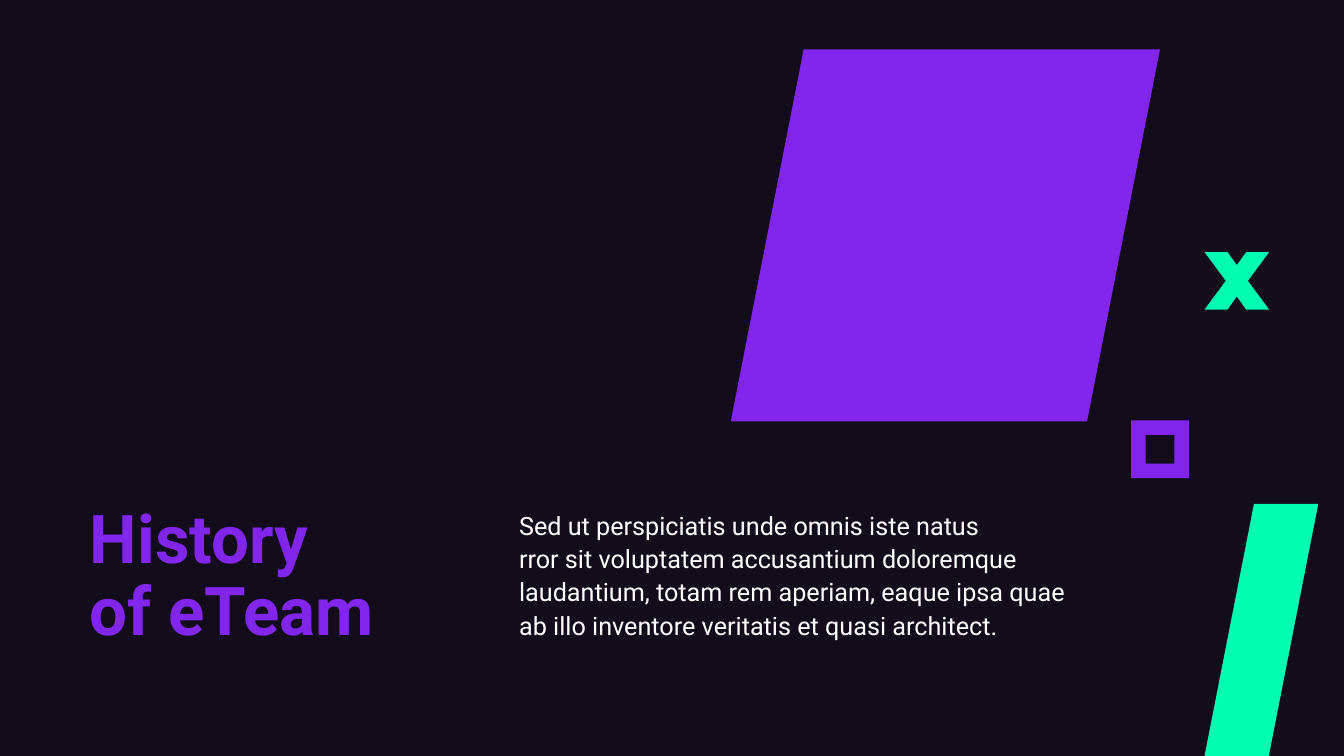
from pptx import Presentation
from pptx import util as u
from pptx.dml import color
from pptx.enum import shapes, text

NIGHT, VIOLET, MINT, WHITE = "130D1B", "8226EE", "01FDB0", "FFFFFF"


def paint(fill, hex_color):
    """Give a fill one solid colour."""
    fill.solid()
    fill.fore_color.rgb = color.RGBColor.from_string(hex_color)


def finish(shape, hex_color):
    """Fill a shape and remove its outline and shadow."""
    paint(shape.fill, hex_color)
    shape.line.fill.background()
    shape.shadow.inherit = False


def add_text(page, area, words, size, hex_color, spacing, bold=False):
    """Place bottom-anchored text in an area given in points."""
    box = page.shapes.add_textbox(*map(u.Pt, area))
    frame = box.text_frame
    frame.word_wrap = True
    frame.vertical_anchor = text.MSO_ANCHOR.BOTTOM
    frame.margin_left = frame.margin_right = 0
    frame.margin_top = frame.margin_bottom = 0
    para = frame.paragraphs[0]
    para.line_spacing = spacing
    for index, line in enumerate(words.split("\n")):
        if index:
            para.add_line_break()
        span = para.add_run()
        span.text = line
        span.font.name = "Roboto"
        span.font.size = u.Pt(size)
        span.font.bold = bold
        span.font.color.rgb = color.RGBColor.from_string(hex_color)


def add_preset(page, kind, area, adjustment, hex_color):
    """Place a preset shape in an area given in points."""
    shape = page.shapes.add_shape(kind, *map(u.Pt, area))
    shape.adjustments[0] = adjustment
    finish(shape, hex_color)


def add_outline(page, left, top, corners, hex_color):
    """Draw a closed polygon with corners relative to its left top."""
    points = [(u.Pt(left + x), u.Pt(top + y)) for x, y in corners]
    builder = page.shapes.build_freeform(*points[0], scale=1.0)
    builder.add_line_segments(points[1:], close=True)
    finish(builder.convert_to_shape(), hex_color)


def add_story(page, left, top, width, height):
    """Place the heading and the paragraph side by side."""
    add_text(page, (left, top, 275, height), "History\nof eTeam",
             48, VIOLET, 0.9, bold=True)
    add_text(page, (left + width - 405.4, top, 405.4, height - 7.2),
             "Sed ut perspiciatis unde omnis iste natus\n"
             "rror sit voluptatem accusantium doloremque laudantium, "
             "totam rem aperiam, eaque ipsa quae ab illo inventore "
             "veritatis et quasi architect.", 18, WHITE, 1.1)


def add_cross(page, left, top, width, height):
    """Draw the x mark, mirrored about both of its axes."""
    arm, notch, waist = 16.4, 9.4, 15.2
    middle, center = width / 2, height / 2
    corners = [(0, 0), (arm, 0), (middle, notch), (width - arm, 0),
               (width, 0), (width - waist, center), (width, height),
               (width - arm, height), (middle, height - notch),
               (arm, height), (0, height), (waist, center)]
    add_outline(page, left, top, corners, MINT)


def add_slash(page, left, top, width, height):
    """Draw the slanted bar that reaches the bottom edge."""
    slant = 35.3
    corners = [(slant, 0), (width, 0), (width - slant, height), (0, height)]
    add_outline(page, left, top, corners, MINT)


def add_decoration(page, left, top, width, height):
    """Place the geometric figures on the right of the page."""
    kinds = shapes.MSO_SHAPE
    add_preset(page, kinds.PARALLELOGRAM, (left, top, 306.6, 265.7),
               0.196, VIOLET)
    add_slash(page, left + width - 81.2, top + height - 180, 81.2, 180)
    add_cross(page, left + width - 81.2, top + 144.7, 46.2, 41.2)
    add_preset(page, kinds.FRAME, (left + 286, top + 265, 41.2, 41.2),
               0.25, VIOLET)


def main():
    """Build the slide and save it."""
    deck = Presentation()
    deck.slide_width, deck.slide_height = u.Pt(960), u.Pt(540)
    page = deck.slides.add_slide(deck.slide_layouts[6])
    paint(page.background.fill, NIGHT)
    add_story(page, 64.1, 302.4, 712.1, 162)
    add_decoration(page, 522, 35.3, 419.6, 504.7)
    deck.save("out.pptx")


if __name__ == "__main__":
    main()
